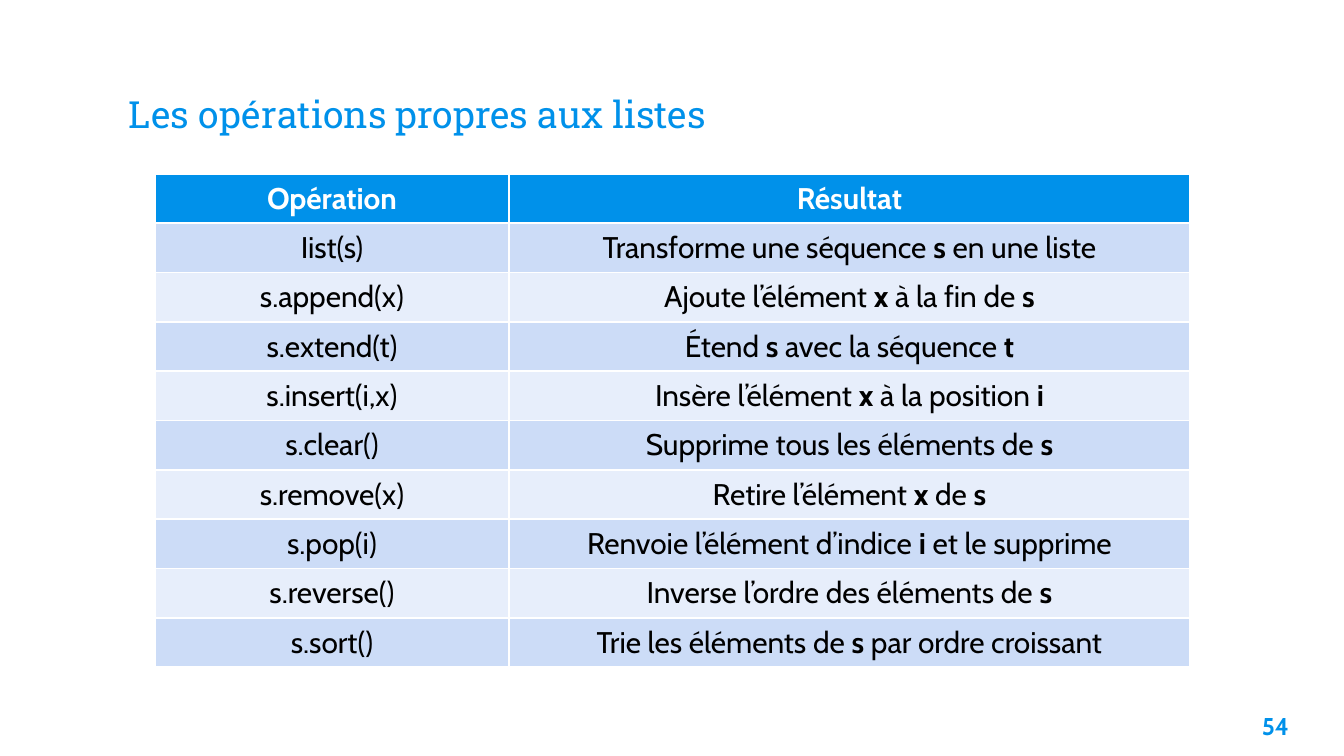
from pptx import Presentation
from pptx.dml.color import RGBColor
from pptx.enum.text import MSO_ANCHOR as ANCHOR, PP_ALIGN as ALIGN
from pptx.util import Pt

PX = 914400 / 134.4
BLUE, WHITE, BLACK = "0091EA", "FFFFFF", "000000"
BANDS = ["CCDCF7", "E7EEFB"]


def px(*values):
    return [round(v * PX) for v in values]


def write(tf, text, size=16, font="Cabin", color=BLACK, bold=False, align=ALIGN.CENTER):
    p = tf.paragraphs[0]
    p.alignment = align
    for i, part in enumerate(text.split("*")):
        if part:
            r = p.add_run()
            r.text = part
            r.font.size = Pt(size)
            r.font.name = font
            r.font.bold = bold or i % 2 == 1
            r.font.color.rgb = RGBColor.from_string(color)
    return p


prs = Presentation()
prs.slide_width, prs.slide_height = px(1344, 756)
s = prs.slides.add_slide(prs.slide_layouts[6])

title = s.shapes.add_textbox(*px(116, 46, 1113, 103))
number = s.shapes.add_textbox(*px(1235, 698, 81, 58))
for sp in (title, number):
    tf = sp.text_frame
    tf.word_wrap = True
    tf.margin_left = tf.margin_right = tf.margin_top = tf.margin_bottom = px(13)[0]
title.text_frame.vertical_anchor = ANCHOR.BOTTOM
write(title.text_frame, "Les opérations propres aux listes", size=20,
      font="Roboto Slab", color=BLUE, align=ALIGN.LEFT)
p = write(number.text_frame, "54", size=13, color=BLUE, bold=True)
p.space_after = Pt(6)

rows = [
    ("Opération", "Résultat"),
    ("Iist(s)", "Transforme une séquence *s* en une liste"),
    ("s.append(x)", "Ajoute l’élément *x* à la fin de *s*"),
    ("s.extend(t)", "Étend *s* avec la séquence *t*"),
    ("s.insert(i,x)", "Insère l’élément *x* à la position *i*"),
    ("s.clear()", "Supprime tous les éléments de *s*"),
    ("s.remove(x)", "Retire l’élément *x* de *s*"),
    ("s.pop(i)", "Renvoie l’élément d’indice *i* et le supprime"),
    ("s.reverse()", "Inverse l’ordre des éléments de *s*"),
    ("s.sort()", "Trie les éléments de *s* par ordre croissant"),
]
table = s.shapes.add_table(len(rows), 2, *px(155, 174, 1035, 490)).table
for column, width in zip(table.columns, px(354, 681)):
    column.width = width
for i, row in enumerate(rows):
    header = i == 0
    for j, text in enumerate(row):
        cell = table.cell(i, j)
        cell.fill.solid()
        cell.fill.fore_color.rgb = RGBColor.from_string(BLUE if header else BANDS[(i - 1) % 2])
        write(cell.text_frame, text, color=WHITE if header else BLACK, bold=header)

prs.save("out.pptx")
